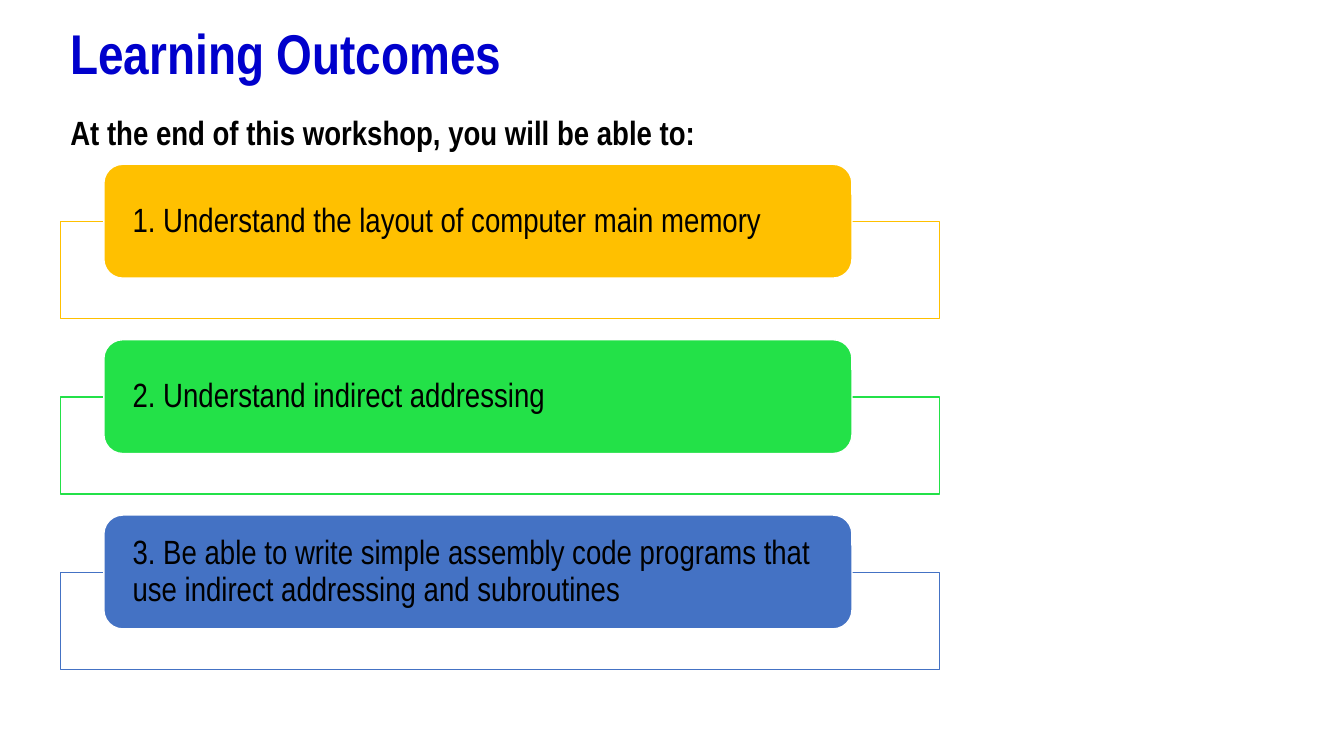
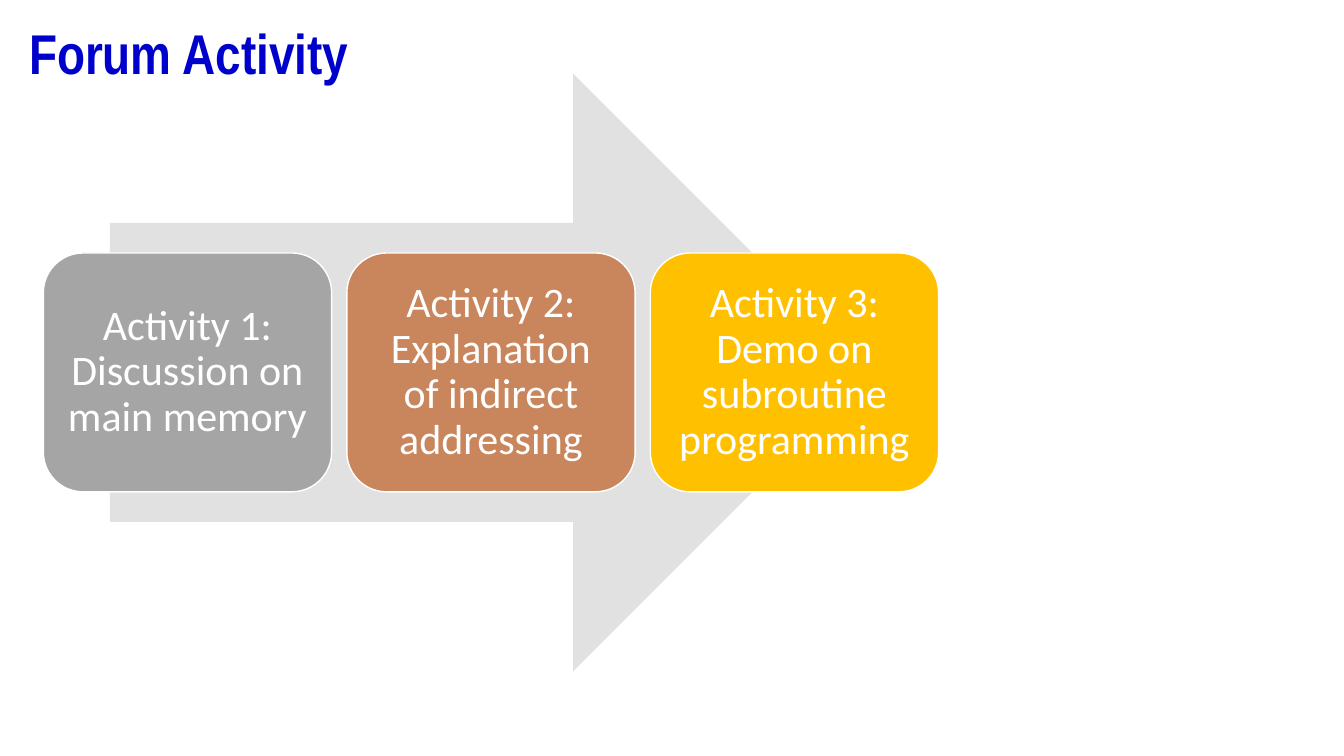
from pptx import Presentation
from pptx.dml.color import RGBColor as Rgb
from pptx.enum.shapes import MSO_SHAPE as Shape
from pptx.enum.text import MSO_ANCHOR as Anchor, PP_ALIGN as Align
from pptx.util import Pt

SCALE = 9144
HEX = {
    "title": "0000CC",
    "black": "000000",
    "white": "FFFFFF",
    "gold": "FFC000",
    "green": "23E148",
    "blue": "4472C4",
    "gray": "A5A5A5",
    "clay": "C9855C",
    "pale": "E1E1E1",
}


def px(*nums):
    return [n * SCALE for n in nums]


def rgb(name):
    return Rgb.from_string(HEX[name])


def write(frame, text, size=24, font="Arial Narrow", color="black", bold=False,
          align=Align.LEFT, anchor=Anchor.TOP, pad=(10, 5), gap=0.9, wrap=True):
    frame.word_wrap = wrap
    frame.vertical_anchor = anchor
    frame.margin_left = frame.margin_right = pad[0] * SCALE
    frame.margin_top = frame.margin_bottom = pad[1] * SCALE
    para = frame.paragraphs[0]
    para.alignment = align
    para.line_spacing = gap
    run = para.add_run()
    run.text = text
    run.font.name = font
    run.font.size = Pt(size)
    run.font.bold = bold
    run.font.color.rgb = rgb(color)


class Deck:
    def __init__(self):
        self.show = Presentation()
        self.show.slide_width, self.show.slide_height = 1333 * SCALE, 750 * SCALE
        self.slide = None

    def page(self, title, left):
        self.slide = self.show.slides.add_slide(self.show.slide_layouts[6])
        self.label(title, (left, 21, 815, 81), size=40, color="title", bold=True)

    def label(self, text, area, **style):
        box = self.slide.shapes.add_textbox(*px(*area))
        write(box.text_frame, text, **style)

    def block(self, kind, area, fill, line=None):
        item = self.slide.shapes.add_shape(kind, *px(*area))
        item.shadow.inherit = False
        item.fill.solid()
        item.fill.fore_color.rgb = rgb(fill)
        if line:
            item.line.color.rgb = rgb(line)
            item.line.width = Pt(1)
        else:
            item.line.fill.background()
        return item

    def card(self, text, area, fill, **style):
        item = self.block(Shape.ROUNDED_RECTANGLE, area, fill, "white")
        write(item.text_frame, text, anchor=Anchor.MIDDLE, **style)


def goals(deck):
    deck.page("Learning Outcomes", 60)
    items = [
        ("1. Understand the layout of computer main memory", "gold"),
        ("2. Understand indirect addressing", "green"),
        ("3. Be able to write simple assembly code programs that "
         "use indirect addressing and subroutines", "blue"),
    ]
    for row, (text, color) in enumerate(items):
        top = 163 + row * 174
        deck.block(Shape.RECTANGLE, (60, top + 57, 872, 96), "white", color)
        deck.card(text, (103, top, 742, 113), color, pad=(23, 0))
    deck.label("At the end of this workshop, you will be able to:",
               (60, 106, 647, 50), bold=True, gap=1.0, wrap=False)


def forum(deck):
    deck.page("Forum Activity", 19)
    deck.block(Shape.RIGHT_ARROW, (109, 73, 756, 593), "pale")
    items = [
        ("Activity 1: Discussion on main memory", "gray"),
        ("Activity 2: Explanation of indirect addressing", "clay"),
        ("Activity 3: Demo on subroutine programming", "gold"),
    ]
    for col, (text, color) in enumerate(items):
        deck.card(text, (43 + col * 301, 251, 286, 237), color, size=30,
                  font="Calibri", color="white", align=Align.CENTER, pad=(12, 12))


def main():
    deck = Deck()
    goals(deck)
    forum(deck)
    deck.show.save("out.pptx")


if __name__ == "__main__":
    main()
